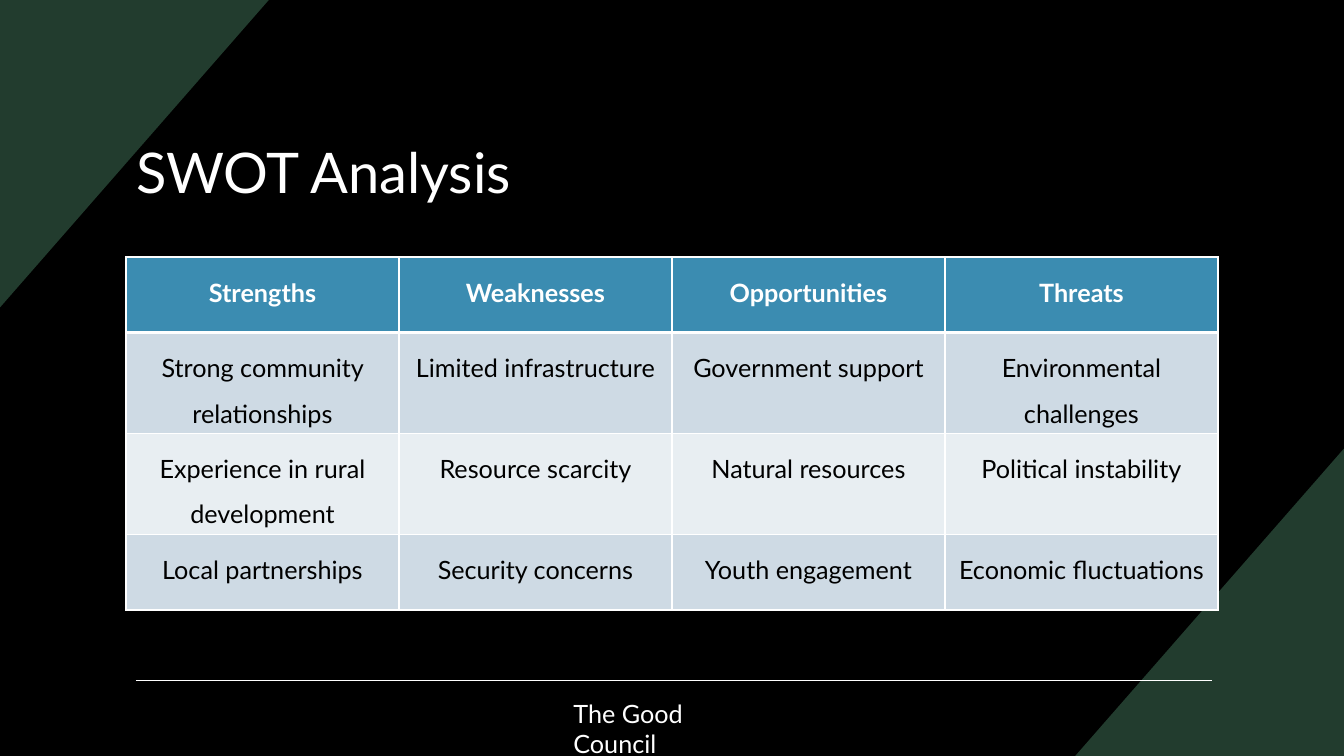
from lxml.etree import SubElement
from pptx import Presentation
from pptx.dml.color import RGBColor
from pptx.enum.shapes import MSO_CONNECTOR
from pptx.enum.text import MSO_ANCHOR, PP_ALIGN
from pptx.oxml.ns import qn
from pptx.util import Pt

TITLE = "SWOT Analysis"
FOOTER = "The Good Council"
SWOT = {
    "Strengths": ["Strong community relationships", "Experience in rural development",
                  "Local partnerships"],
    "Weaknesses": ["Limited infrastructure", "Resource scarcity", "Security concerns"],
    "Opportunities": ["Government support", "Natural resources", "Youth engagement"],
    "Threats": ["Environmental challenges", "Political instability", "Economic fluctuations"],
}


class Theme:
    font = "Lato"
    title_size, body_size = 40, 18
    background, corner, light, dark = "000000", "223C2E", "FFFFFF", "000000"
    header, bands = "3B8CB1", ("CEDAE4", "E8EEF2")
    grid, header_rule = 1, 3


SLIDE_W, SLIDE_H = 960, 540
CORNER_W, CORNER_H = 192, 219.6
LEFT, CONTENT_W = 90, 780
TABLE_TOP, ROW_H = 183.6, 54
RULE_INSET, RULE_Y = 97, 486


def paint(target, color):
    target.fill.solid()
    target.fill.fore_color.rgb = RGBColor.from_string(color)


def write(frame, text, size, color, bold=False, **paragraph_format):
    frame.text = text
    paragraph = frame.paragraphs[0]
    for name, value in paragraph_format.items():
        setattr(paragraph, name, value)
    font = paragraph.runs[0].font
    for name, value in {"name": Theme.font, "size": Pt(size), "bold": bold}.items():
        setattr(font, name, value)
    font.color.rgb = RGBColor.from_string(color)


def add_corner(slide, x, y, toward_x, toward_y):
    """Fill the right triangle at slide corner (x, y), reaching inward by the given signs."""
    builder = slide.shapes.build_freeform(Pt(x), Pt(y), scale=1.0)
    builder.add_line_segments([(Pt(x + toward_x * CORNER_W), Pt(y)),
                               (Pt(x), Pt(y + toward_y * CORNER_H))])
    corner = builder.convert_to_shape()
    corner.shadow.inherit = False
    paint(corner, Theme.corner)
    corner.line.fill.background()


def add_rule(slide):
    rule = slide.shapes.add_connector(MSO_CONNECTOR.STRAIGHT, Pt(RULE_INSET), Pt(RULE_Y),
                                      Pt(SLIDE_W - RULE_INSET + 2.5), Pt(RULE_Y))
    rule.line.width = Pt(1)
    rule.line.color.rgb = RGBColor.from_string(Theme.light)
    SubElement(rule.element.spPr, qn("a:effectLst"))


def add_borders(cell, widths):
    properties = cell._tc.get_or_add_tcPr()
    for index, (side, width) in enumerate(widths.items()):
        border = properties.makeelement(qn(f"a:ln{side}"), {"w": str(Pt(width))})
        fill = SubElement(border, qn("a:solidFill"))
        SubElement(fill, qn("a:srgbClr"), val=Theme.light)
        properties.insert(index, border)


def add_swot(slide):
    rows = [list(SWOT), *zip(*SWOT.values())]
    table = slide.shapes.add_table(len(rows), len(SWOT), Pt(LEFT), Pt(TABLE_TOP),
                                   Pt(CONTENT_W), Pt(ROW_H * len(rows))).table
    table.first_row = table.horz_banding = False
    for r, row in enumerate(rows):
        is_header = r == 0
        fill = Theme.header if is_header else Theme.bands[(r - 1) % 2]
        widths = {"L": Theme.grid, "R": Theme.grid,
                  "T": Theme.header_rule if r == 1 else Theme.grid,
                  "B": Theme.header_rule if is_header else Theme.grid}
        for c, text in enumerate(row):
            cell = table.cell(r, c)
            write(cell.text_frame, text, Theme.body_size,
                  Theme.light if is_header else Theme.dark, bold=is_header,
                  alignment=PP_ALIGN.CENTER, line_spacing=1.5)
            paint(cell, fill)
            add_borders(cell, widths)


def place_title(slide):
    title = slide.shapes.title
    box = {"left": LEFT, "top": 68.4, "width": CONTENT_W, "height": 107.3}
    for name, value in box.items():
        setattr(title, name, Pt(value))
    title.text_frame.vertical_anchor = MSO_ANCHOR.MIDDLE
    write(title.text_frame, TITLE, Theme.title_size, Theme.light, alignment=PP_ALIGN.LEFT)
    title.element.getparent().append(title.element)  # in front of the corners


def add_footer(slide):
    footer = slide.shapes.add_textbox(Pt(402.5), Pt(495.4), Pt(154), Pt(29))
    footer.text_frame.word_wrap = True
    write(footer.text_frame, FOOTER, Theme.body_size, Theme.light, space_after=Pt(6))


def main():
    deck = Presentation()
    deck.slide_width, deck.slide_height = Pt(SLIDE_W), Pt(SLIDE_H)
    slide = deck.slides.add_slide(deck.slide_layouts.get_by_name("Title Only"))
    paint(slide.background, Theme.background)
    add_corner(slide, SLIDE_W, SLIDE_H, -1, -1)
    add_corner(slide, 0, 0, 1, 1)
    add_rule(slide)
    place_title(slide)
    add_swot(slide)
    add_footer(slide)
    deck.save("out.pptx")


if __name__ == "__main__":
    main()
